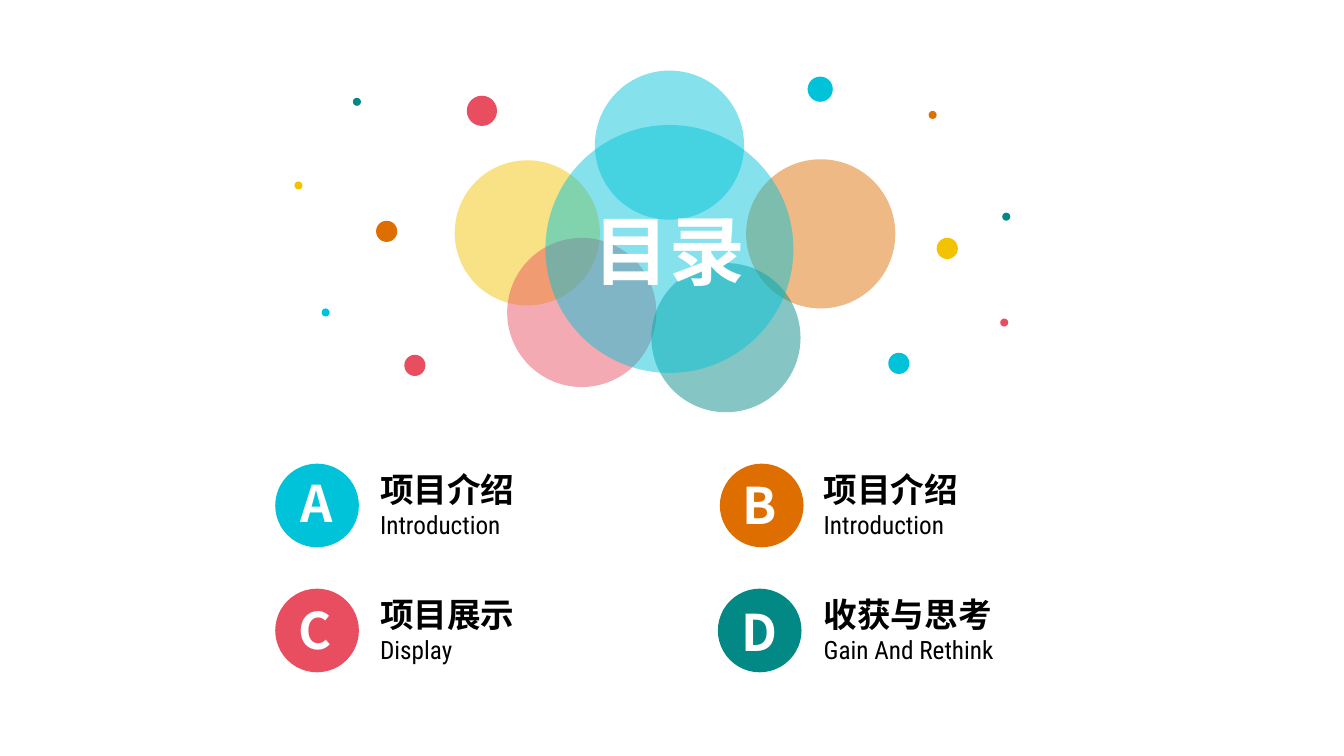
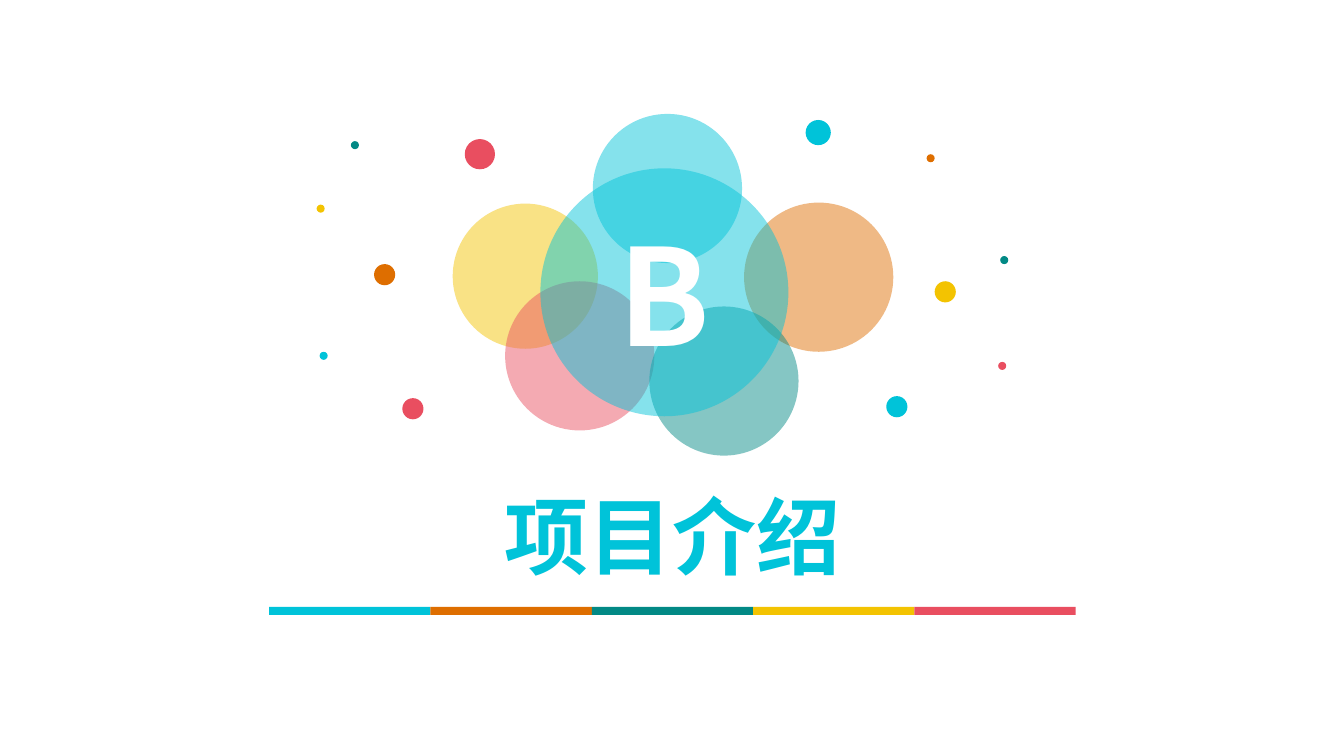
from lxml import etree
from pptx import Presentation
from pptx.dml.color import RGBColor
from pptx.enum.shapes import MSO_SHAPE
from pptx.enum.text import MSO_ANCHOR, MSO_AUTO_SIZE, PP_ALIGN
from pptx.oxml.ns import qn
from pptx.util import Pt

# One px is a hundredth of an inch
EMU_PER_PX = 9144
SLIDE_W, SLIDE_H = 1333, 750

CYAN, ORANGE, TEAL = "00C3D9", "DE6E00", "028985"
YELLOW, RED = "F3C301", "E94E60"
BLACK, WHITE = "000000", "FFFFFF"
BRAND_COLORS = (CYAN, ORANGE, TEAL, YELLOW, RED)
PETAL_OPACITY = 48

OVAL, RECT = MSO_SHAPE.OVAL, MSO_SHAPE.RECTANGLE
CENTER, LEFT = PP_ALIGN.CENTER, PP_ALIGN.LEFT
MIDDLE, TOP = MSO_ANCHOR.MIDDLE, MSO_ANCHOR.TOP

HEADING_FONT, BODY_FONT = "Noto Sans CJK SC", "Roboto Condensed"
HEADING = {"name": HEADING_FONT, "bold": True}
ITEM_TITLE = {**HEADING, "size": Pt(24)}
ITEM_SUBTITLE = {"name": BODY_FONT, "size": Pt(18), "bold": False}
BADGE_LETTER = {**HEADING, "size": Pt(36)}
SECTION_TITLE = {**HEADING, "size": Pt(60)}

# Bubble motif: left, top, diameter, colour
HUB_SIZE = 246
SPECK_SIZE = 8
PETALS = (
    (451, 159, 144, YELLOW),
    (503, 236, 148, RED),
    (590, 70, 148, CYAN),
    (740, 158, 148, ORANGE),
    (646, 261, 148, TEAL),
)
DOTS = (
    (801, 76, 25, CYAN),
    (463, 95, 30, RED),
    (373, 219, 21, ORANGE),
    (350, 97, SPECK_SIZE, TEAL),
    (401, 352, 21, RED),
    (319, 306, SPECK_SIZE, CYAN),
    (929, 236, 21, YELLOW),
    (921, 110, SPECK_SIZE, ORANGE),
    (994, 211, SPECK_SIZE, TEAL),
    (881, 350, 21, CYAN),
    (992, 316, SPECK_SIZE, RED),
)

# Agenda: letter, title, subtitle, colour, badge left, letter box position
BADGE_SIZE = 83
LABEL_COLUMNS = (377, 817)
LABEL_ROWS = (460, 584)
AGENDA = (
    ("A", "项目介绍", "Introduction", CYAN, 273, (249, 463)),
    ("B", "项目介绍", "Introduction", ORANGE, 714, (688, 465)),
    ("C", "项目展示", "Display", RED, 273, (247, 589)),
    ("D", "收获与思考", "Gain And Rethink", TEAL, 712, (688, 591)),
)


def px(*lengths):
    return [length * EMU_PER_PX for length in lengths]


def set_color(color_format, color, opacity=100):
    """Apply a hex colour to a fill or a font colour."""
    if hasattr(color_format, "solid"):
        color_format.solid()
        color_format = color_format.fore_color
    color_format.rgb = RGBColor.from_string(color)
    return opacity


def add_flat_shape(slide, kind, box, color, opacity=100):
    shape = slide.shapes.add_shape(kind, *px(*box))
    shape.shadow.inherit = False
    shape.line.fill.background()
    set_color(shape.fill, color)
    if opacity < 100:
        rgb = shape.fill._xPr.find(".//" + qn("a:srgbClr"))
        etree.SubElement(rgb, qn("a:alpha"), val=str(opacity * 1000))
    return shape


def add_circle(slide, left, top, diameter, color, opacity=100):
    return add_flat_shape(slide, OVAL, (left, top, diameter, diameter), color, opacity)


def write_lines(frame, lines, color, align):
    """Write one paragraph for each (text, format) pair."""
    for index, (text, text_format) in enumerate(lines):
        paragraph = frame.add_paragraph() if index else frame.paragraphs[0]
        paragraph.alignment = align
        run = paragraph.add_run()
        run.text = text
        set_color(run.font.color, color)
        for attribute, value in text_format.items():
            setattr(run.font, attribute, value)
        # East Asian characters take their own typeface entry
        properties = run._r.get_or_add_rPr()
        etree.SubElement(properties, qn("a:ea"), typeface=text_format["name"])


def add_text(slide, box, lines, color, align=CENTER, **frame_format):
    frame = slide.shapes.add_textbox(*px(*box)).text_frame
    frame.word_wrap = True
    for attribute, value in frame_format.items():
        setattr(frame, attribute, value)
    write_lines(frame, lines, color, align)


def add_bubbles(slide, text, size, shift, hub, yellow_speck):
    """Draw the petals and dots, moved by shift, with the titled hub on top."""
    dx, dy = shift
    for circles, opacity in ((PETALS, PETAL_OPACITY), (DOTS, 100)):
        for left, top, diameter, color in circles:
            add_circle(slide, left + dx, top + dy, diameter, color, opacity)
    add_circle(slide, *yellow_speck, SPECK_SIZE, YELLOW)
    center = add_circle(slide, *hub, HUB_SIZE, CYAN, PETAL_OPACITY)
    center.text_frame.vertical_anchor = MIDDLE
    write_lines(center.text_frame, [(text, {**HEADING, "size": Pt(size)})], WHITE, CENTER)


def add_agenda_item(slide, index, letter, title, subtitle, color, badge_left, letter_at):
    row, column = divmod(index, len(LABEL_COLUMNS))
    top = LABEL_ROWS[row]
    add_text(slide, (LABEL_COLUMNS[column], top, 434, 81),
             [(title, ITEM_TITLE), (subtitle, ITEM_SUBTITLE)], BLACK, LEFT,
             margin_left=0, vertical_anchor=TOP, auto_size=MSO_AUTO_SIZE.SHAPE_TO_FIT_TEXT)
    add_circle(slide, badge_left, top, BADGE_SIZE, color)
    add_text(slide, (*letter_at, 131, 71), [(letter, BADGE_LETTER)], WHITE,
             auto_size=MSO_AUTO_SIZE.SHAPE_TO_FIT_TEXT)


def add_color_band(slide, left, top, segment_width, height):
    for index, color in enumerate(BRAND_COLORS):
        box = (left + index * segment_width, top, segment_width, height)
        add_flat_shape(slide, RECT, box, color)


def build_contents(slide):
    add_bubbles(slide, "目录", 54, shift=(0, 0), hub=(541, 124), yellow_speck=(292, 180))
    for index, item in enumerate(AGENDA):
        add_agenda_item(slide, index, *item)


def build_section(slide):
    add_bubbles(slide, "B", 96, shift=(-2, 43), hub=(536, 167), yellow_speck=(314, 203))
    add_color_band(slide, 267, 602, 160, 8)
    add_text(slide, (175, 494, 984, 74), [("项目介绍", SECTION_TITLE)], CYAN,
             vertical_anchor=MIDDLE)


def main():
    deck = Presentation()
    deck.slide_width, deck.slide_height = px(SLIDE_W, SLIDE_H)
    blank = deck.slide_layouts[6]
    for build in (build_contents, build_section):
        build(deck.slides.add_slide(blank))
    deck.save("out.pptx")


if __name__ == "__main__":
    main()
